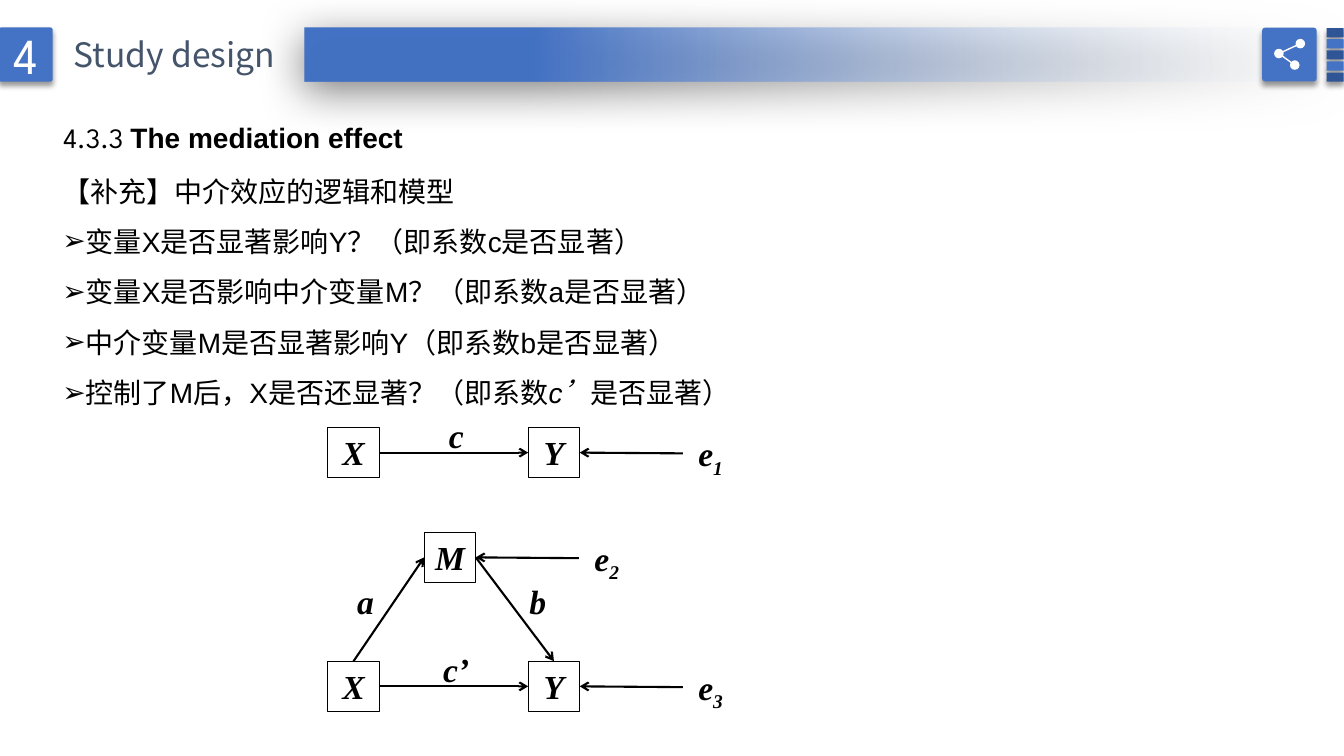
from dataclasses import dataclass

from lxml import etree
from pptx import Presentation
from pptx import util as u
from pptx.dml.color import RGBColor
from pptx.enum import lang, shapes, text
from pptx.oxml import ns

Cm, Pt = u.Cm, u.Pt
RECT = shapes.MSO_SHAPE.RECTANGLE
ROUND = shapes.MSO_SHAPE.ROUNDED_RECTANGLE
OVAL = shapes.MSO_SHAPE.OVAL
CENTER = text.PP_ALIGN.CENTER
TOP, LEFT, RIGHT = 0, 1, 3  # connection sites of a rectangle


@dataclass(frozen=True)
class Theme:
    blue: str = "4472C4"
    navy: str = "2F5597"
    pale: str = "F7FAFD"
    title: str = "44546A"
    black: str = "000000"
    white: str = "FFFFFF"
    display: str = "League Spartan"
    body: str = "Arial"
    cjk: str = "Noto Sans CJK SC"
    math: str = "Times New Roman"
    number_size: int = 36
    head_size: int = 24
    body_size: int = 20


T = Theme()
MATH = dict(size=T.head_size, font=T.math, bold=True, italic=True)


def rgb(code):
    return RGBColor.from_string(code)


def sub(parent, tag, **attrs):
    return etree.SubElement(parent, ns.qn(tag), {k: str(v) for k, v in attrs.items()})


def put(p, content, size=T.body_size, font=T.body, color=T.black,
        bold=False, italic=False, base=0, chinese=False):
    """Add one formatted run to a paragraph."""
    r = p.add_run()
    r.text = content
    f = r.font
    f.size, f.name, f.bold, f.italic = Pt(size), font, bold, italic
    f.color.rgb = rgb(color)
    rpr = r._r.get_or_add_rPr()
    if base:
        rpr.set("baseline", str(base * 1000))
    if chinese:
        f.language_id = lang.MSO_LANGUAGE_ID.SIMPLIFIED_CHINESE
        sub(rpr, "a:ea", typeface=T.cjk)


def box(s, x, y, w, h):
    sp = s.shapes.add_textbox(Cm(x), Cm(y), Cm(w), Cm(h))
    sp.text_frame.word_wrap = True
    return sp


def shape(s, kind, x, y, w, h, fill=None, line=None):
    sp = s.shapes.add_shape(kind, Cm(x), Cm(y), Cm(w), Cm(h))
    sp.shadow.inherit = False
    if fill:
        sp.fill.solid()
        sp.fill.fore_color.rgb = rgb(fill)
    else:
        sp.fill.background()
    if line:
        sp.line.color.rgb = rgb(line)
        sp.line.width = Pt(0.75)
    else:
        sp.line.fill.background()
    return sp


def cast_shadow(sp, alpha, blur, dist, angle):
    effects = sp._element.spPr.find(ns.qn("a:effectLst"))
    shadow = sub(effects, "a:outerShdw", blurRad=Pt(blur), dist=Pt(dist),
                 dir=angle * 60000, algn="t", rotWithShape=0)
    sub(sub(shadow, "a:srgbClr", val=T.black), "a:alpha", val=alpha * 1000)


def tile(s, x, y, w, h, fill):
    sp = shape(s, ROUND, x, y, w, h, fill)
    sp.adjustments[0] = 0.05
    cast_shadow(sp, 40, 4, 3, 90)
    return sp


def link(s, start, end, color=T.black, width=1.5, arrow=True):
    """Join two (shape, site) ends, or two plain (x, y) points."""
    c = s.shapes.add_connector(shapes.MSO_CONNECTOR.STRAIGHT, 0, 0, 0, 0)
    if arrow:
        c.begin_connect(*start)
        c.end_connect(*end)
    else:
        c.begin_x, c.begin_y = map(Cm, start)
        c.end_x, c.end_y = map(Cm, end)
    c.line.color.rgb = rgb(color)
    c.line.width = Pt(width)
    if arrow:
        sub(c.line._get_or_add_ln(), "a:tailEnd", type="arrow")
    sub(c._element.spPr, "a:effectLst")


def label(sp, content, index=""):
    """Write a centred math symbol with an optional subscript."""
    tf = sp.text_frame
    tf.word_wrap = True
    tf.vertical_anchor = text.MSO_ANCHOR.TOP
    tf.margin_left = tf.margin_right = 0
    p = tf.paragraphs[0]
    p.alignment = CENTER
    put(p, content, **MATH)
    if index:
        put(p, index, base=-25, **MATH)
    return sp


def node(s, name, x, y):
    return label(shape(s, RECT, x, y, 1.3, 1.27, line=T.black), name)


def coefficient(s, name, x, y, index=""):
    return label(box(s, x, y, 1.4, 1.27), name, index)


def error_term(s, target, index):
    """Place an error term to the right of a node and point it at the node."""
    x = (target.left + target.width).cm if hasattr(target.left + target.width, "cm") \
        else u.Emu(target.left + target.width).cm
    e = coefficient(s, "e", x + 2.6, target.top.cm + 0.02, index)
    link(s, (e, LEFT), (target, RIGHT))


def header(s):
    # Fading bar
    bar = shape(s, RECT, 7.67, 0.71, 26.19, 1.35, T.blue)
    bar.fill.gradient()
    bar.fill.gradient_angle = 180
    for stop, color, at in zip(bar.fill.gradient_stops, (T.pale, T.blue), (0, 0.78)):
        stop.color.rgb, stop.position = rgb(color), at
    clear = bar._element.spPr.find(".//" + ns.qn("a:srgbClr"))
    sub(clear, "a:alpha", val=0)
    cast_shadow(bar, 50, 31, 6, 97)

    # Section number and title
    tf = tile(s, -0.03, 0.69, 1.36, 1.37, T.blue).text_frame
    tf.vertical_anchor = text.MSO_ANCHOR.MIDDLE
    tf.paragraphs[0].alignment = CENTER
    put(tf.paragraphs[0], "4", size=T.number_size, font=T.display, color=T.white)
    p = box(s, 1.6, 0.74, 19.4, 1.27).text_frame.paragraphs[0]
    put(p, "Study design", size=T.head_size, font=T.cjk, color=T.title)

    # Stripes at the edge
    for i in range(5):
        tile(s, 33.43, 0.71 + 0.28 * i, 0.43, 0.23, T.blue if i % 2 else T.navy)

    # Share icon
    tile(s, 31.81, 0.7, 1.37, 1.35, T.blue)
    hub, *ends = (32.23, 1.35), (32.77, 1.1), (32.63, 1.64)
    for end in ends:
        link(s, hub, end, color=T.white, width=1, arrow=False)
    for x, y in (hub, *ends):
        shape(s, OVAL, x - 0.12, y - 0.12, 0.24, 0.24, T.white)


def questions(s):
    p = box(s, 1.35, 2.67, 31.32, 1.24).text_frame.paragraphs[0]
    p.line_spacing = 1.3
    put(p, "4.3.3 ", font=T.display)
    put(p, "The mediation effect", bold=True)

    tf = box(s, 1.32, 4.01, 31.32, 7.7).text_frame
    p = tf.paragraphs[0]
    p.line_spacing = 1.3
    put(p, "【补充】中介效应的逻辑和模型", chinese=True)
    for parts in (["变量X是否显著影响Y？（即系数c是否显著）"],
                  ["变量X是否影响中介变量M？（即系数a是否显著）"],
                  ["中介变量M是否显著影响Y（即系数b是否显著）"],
                  ["控制了M后，X是否还显著？（即系数", "c’", "是否显著）"]):
        p = tf.add_paragraph()
        p.line_spacing = 1.5
        ppr = p._p.get_or_add_pPr()
        ppr.set("marL", str(Cm(0.58)))
        ppr.set("indent", str(-Cm(0.58)))
        sub(ppr, "a:buFont", typeface=T.body)
        sub(ppr, "a:buChar", char="➢")
        for i, part in enumerate(parts):
            put(p, part, italic=i == 1, chinese=True)


def path_models(s):
    # Total effect, then the direct path of the mediation model
    for y, name, index in ((10.77, "c", "1"), (16.66, "c’", "3")):
        x_node, y_node = node(s, "X", 8.26, y), node(s, "Y", 13.31, y)
        link(s, (x_node, RIGHT), (y_node, LEFT))
        coefficient(s, name, 10.8, y - 0.44)
        error_term(s, y_node, index)

    # Indirect path through the mediator
    m_node = node(s, "M", 10.69, 13.41)
    link(s, (x_node, TOP), (m_node, LEFT))
    link(s, (m_node, RIGHT), (y_node, TOP))
    coefficient(s, "a", 8.51, 14.52)
    coefficient(s, "b", 12.85, 14.52)
    error_term(s, m_node, "2")


def main():
    prs = Presentation()
    prs.slide_width, prs.slide_height = Cm(33.87), Cm(19.05)
    s = prs.slides.add_slide(prs.slide_layouts[6])
    header(s)
    questions(s)
    path_models(s)
    prs.save("out.pptx")


if __name__ == "__main__":
    main()
